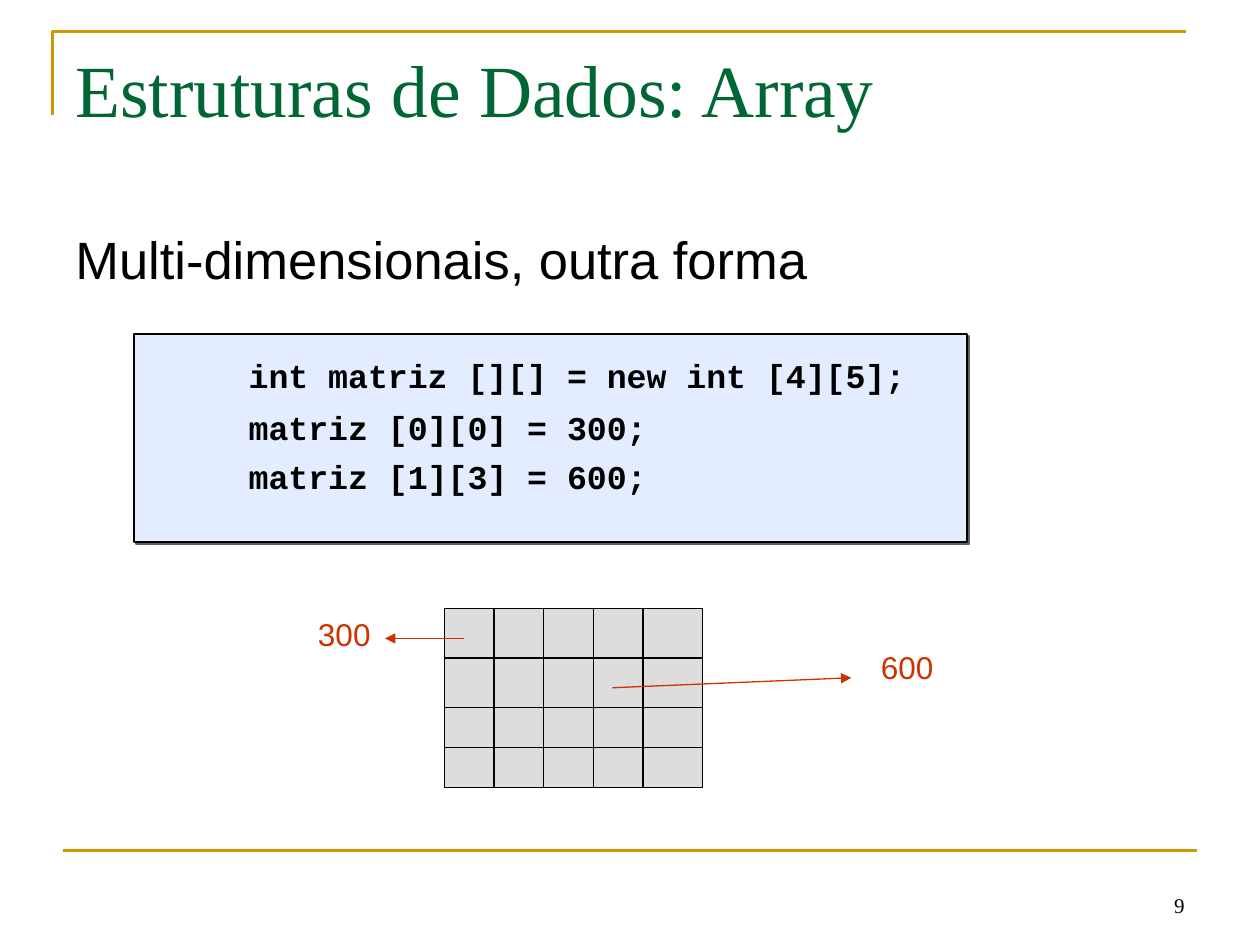
from dataclasses import dataclass

from lxml.etree import SubElement
from pptx import Presentation
from pptx.dml.color import RGBColor
from pptx.enum.shapes import MSO_CONNECTOR, MSO_SHAPE
from pptx.enum.text import MSO_ANCHOR, PP_ALIGN
from pptx.oxml.ns import qn
from pptx.util import Pt

BLACK, GOLD, GREEN, RED = "000000", "CC9900", "006633", "CC3300"
SERIF, SANS, MONO = "Times New Roman", "Arial", "Courier New"


@dataclass
class Para:
    text: str
    size: float
    font: str
    color: str = BLACK
    bold: bool = False
    before: float = 0
    indent: float = 0
    align: PP_ALIGN = PP_ALIGN.LEFT


@dataclass
class Box:
    x: float
    y: float
    w: float
    h: float


@dataclass
class Line:
    x1: float
    y1: float
    x2: float
    y2: float
    color: str = BLACK
    width: float = 0.75
    arrow: bool = False


@dataclass
class Label:
    text: str
    box: Box
    arrow: Line


def rgb(value: str) -> RGBColor:
    return RGBColor.from_string(value)


def add_text(s, box: Box, paras: list[Para], anchor=MSO_ANCHOR.TOP) -> None:
    sp = s.shapes.add_textbox(Pt(box.x), Pt(box.y), Pt(box.w), Pt(box.h))
    tf = sp.text_frame
    tf.word_wrap = True
    tf.vertical_anchor = anchor
    for i, para in enumerate(paras):
        p = tf.add_paragraph() if i else tf.paragraphs[0]
        p.alignment = para.align
        p.space_before = Pt(para.before)
        p._p.get_or_add_pPr().set("marL", str(Pt(para.indent)))
        r = p.add_run()
        r.text = para.text
        r.font.size, r.font.name, r.font.bold = Pt(para.size), para.font, para.bold
        r.font.color.rgb = rgb(para.color)


def add_rect(s, box: Box, fill: str, width: float):
    sp = s.shapes.add_shape(MSO_SHAPE.RECTANGLE, Pt(box.x), Pt(box.y),
                            Pt(box.w), Pt(box.h))
    sp.shadow.inherit = False
    sp.fill.solid()
    sp.fill.fore_color.rgb = rgb(fill)
    sp.line.color.rgb = rgb(BLACK)
    sp.line.width = Pt(width)
    return sp


def add_line(s, line: Line) -> None:
    sp = s.shapes.add_connector(MSO_CONNECTOR.STRAIGHT, Pt(line.x1), Pt(line.y1),
                                Pt(line.x2), Pt(line.y2))
    sp.line.color.rgb = rgb(line.color)
    sp.line.width = Pt(line.width)
    if line.arrow:
        SubElement(sp.line._get_or_add_ln(), qn("a:tailEnd"), type="triangle")
    SubElement(sp._element.spPr, qn("a:effectLst"))


def add_hard_shadow(sp, color: str, distance: float) -> None:
    effects = sp._element.spPr.find(qn("a:effectLst"))
    shadow = SubElement(effects, qn("a:outerShdw"), dist=str(Pt(distance)),
                        dir="2700000", algn="ctr", rotWithShape="0")
    SubElement(shadow, qn("a:srgbClr"), val=color)


def add_frame(s) -> None:
    builder = s.shapes.build_freeform(Pt(30), Pt(66), scale=1.0)
    builder.add_line_segments([(Pt(30), Pt(18)), (Pt(678), Pt(18))], close=False)
    sp = builder.convert_to_shape()
    sp.shadow.inherit = False
    sp.fill.background()
    sp.line.color.rgb = rgb(GOLD)
    sp.line.width = Pt(1.5)
    add_line(s, Line(36, 486, 684, 486, GOLD, 1.5))


def add_matrix(s, box: Box, rows: list[float], col_step: float, cols: int) -> None:
    add_rect(s, box, "DDDDDD", 0.75)
    for y in rows:
        add_line(s, Line(box.x, y, box.x + box.w, y))
    for i in range(1, cols):
        x = box.x + i * col_step
        add_line(s, Line(x, box.y, x, box.y + box.h))


def main() -> None:
    prs = Presentation()
    prs.slide_width, prs.slide_height = Pt(720), Pt(540)
    s = prs.slides.add_slide(prs.slide_layouts[6])

    # Frame and page number
    add_frame(s)
    add_text(s, Box(516, 492, 168, 36),
             [Para("9", 12, SERIF, align=PP_ALIGN.RIGHT)], MSO_ANCHOR.BOTTOM)

    # Code panel
    panel = add_rect(s, Box(76.5, 190.7, 476, 119), "E4EDFF", 1)
    add_hard_shadow(panel, "5F5F5F", 2)

    # Title and body
    add_text(s, Box(36, 21.6, 648, 90),
             [Para("Estruturas de Dados: Array", 42, SERIF, GREEN)])
    code = [("int matriz [][] = new int [4][5];", 37.7),
            ("matriz [0][0] = 300;", 6.5),
            ("matriz [1][3] = 600;", 5.3)]
    add_text(s, Box(36, 126, 648, 356),
             [Para("Multi-dimensionais, outra forma", 30, SANS)]
             + [Para(text, 19, MONO, bold=True, before=gap, indent=99)
                for text, gap in code])

    # Matrix of 4 rows and 5 columns
    add_matrix(s, Box(254, 347.8, 147.4, 102.2), [376.1, 404.5, 427.2], 28.35, 5)

    # Cell values with arrows
    labels = [
        Label("300", Box(174.6, 348, 48, 29), Line(265, 364.8, 220, 364.8, RED, arrow=True)),
        Label("600", Box(496.2, 366.7, 48, 29), Line(350, 393, 486.5, 387.3, RED, arrow=True)),
    ]
    for label in labels:
        add_line(s, label.arrow)
        add_text(s, label.box, [Para(label.text, 18, SANS, RED)])

    prs.save("out.pptx")


if __name__ == "__main__":
    main()
